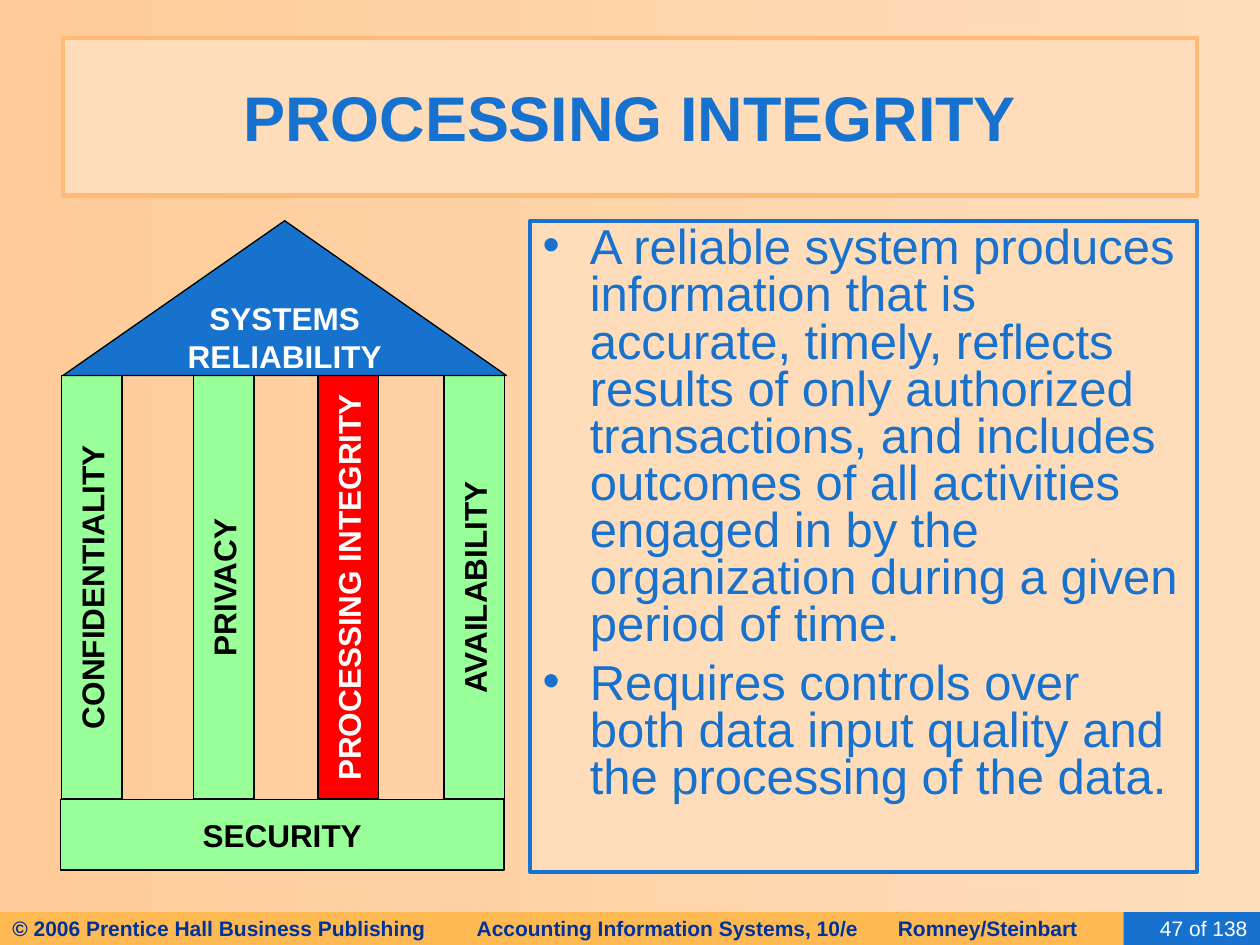
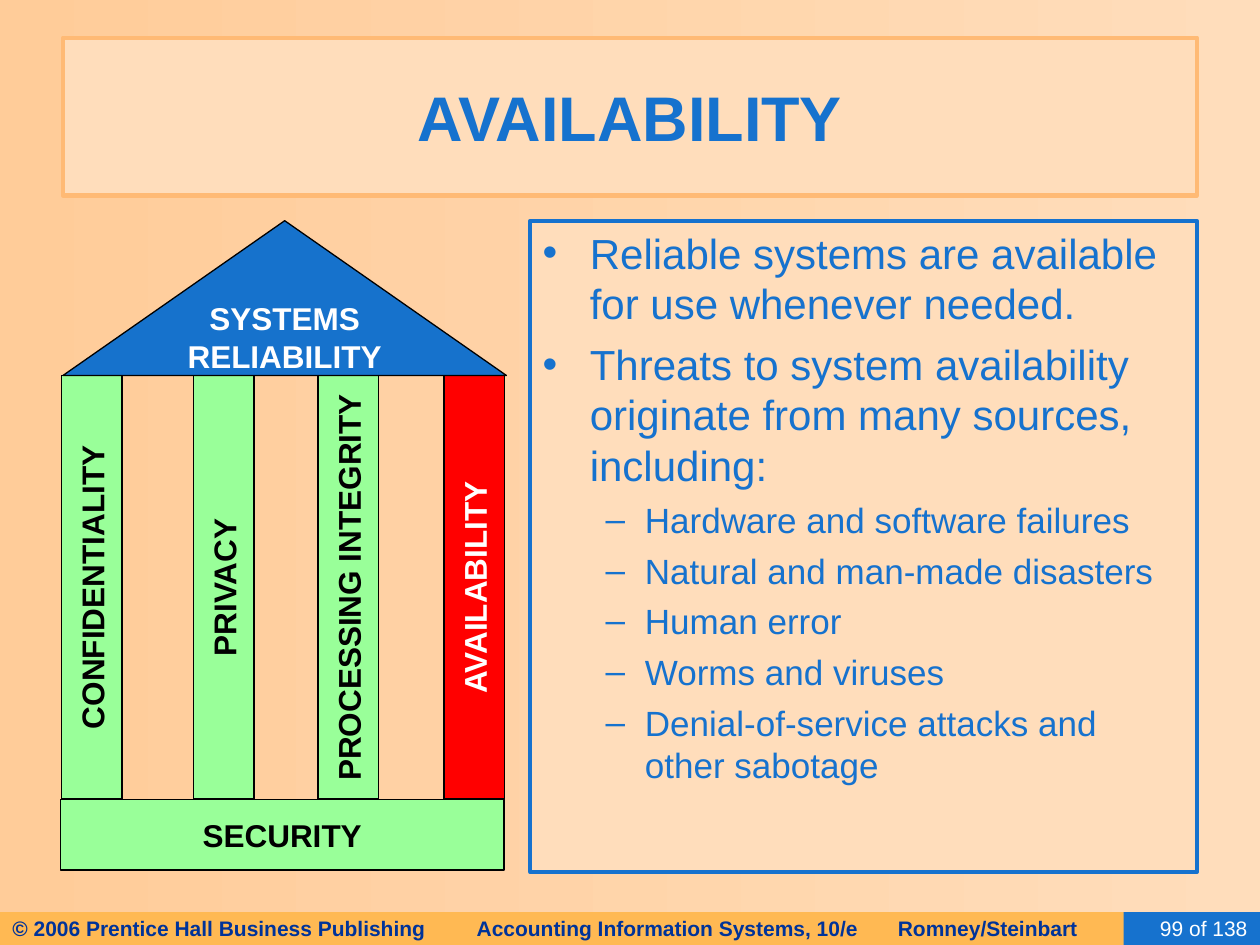
from lxml.etree import SubElement
from pptx import Presentation
from pptx.dml.color import RGBColor
from pptx.enum.shapes import MSO_SHAPE
from pptx.enum.text import MSO_ANCHOR, MSO_AUTO_SIZE, PP_ALIGN
from pptx.oxml.ns import qn
from pptx.util import Cm, Pt

COLORS = {
    "peach": "FFDDBB", "apricot": "FFCC99", "title_line": "FFBA75",
    "blue": "1672CE", "roof": "1672CC", "band": "FFB953", "navy": "003399",
    "green": "99FF99", "red": "FF0000", "black": "000000", "white": "FFFFFF",
}
FONT = "Arial"
BULLETS = [("•", 0.95, -0.95), ("–", 2.06, -0.79)]
FOOTER = "© 2006 Prentice Hall Business Publishing\tAccounting Information Systems, 10/e\tRomney/Steinbart"
FOOTER_TABS = [9.36, 17.85]
PAGE_COUNT = 138
PILLAR_CENTRES = {
    "CONFIDENTIALITY": 1.85, "PRIVACY": 4.51,
    "PROCESSING INTEGRITY": 7.02, "AVAILABILITY": 9.56,
}
PILLAR_LENGTH, PILLAR_WIDTH, PILLAR_MIDDLE = 8.53, 1.22, 11.84

PAGES = [
    {
        "title": "PROCESSING INTEGRITY", "number": 47,
        "sizes": [28], "space_before": [7], "line_spacing": 0.8,
        "items": [
            (0, "A reliable system produces information that is accurate, timely, reflects results of "
                "only authorized transactions, and includes outcomes of all activities engaged in by "
                "the organization during a given period of time."),
            (0, "Requires controls over both data input quality and the processing of the data."),
        ],
    },
    {
        "title": "AVAILABILITY", "number": 99,
        "sizes": [24, 20], "space_before": [6, 5], "line_spacing": 1.0,
        "items": [
            (0, "Reliable systems are available for use whenever needed."),
            (0, "Threats to system availability originate from many sources, including:"),
            (1, "Hardware and software failures"),
            (1, "Natural and man-made disasters"),
            (1, "Human error"),
            (1, "Worms and viruses"),
            (1, "Denial-of-service attacks and other sabotage"),
        ],
    },
]


def rgb(name):
    return RGBColor.from_string(COLORS[name])


def apply(target, values):
    for name, value in values.items():
        setattr(target, name, value)


class Deck:
    """Draws the styled elements of the deck on its current slide."""

    def __init__(self):
        self.presentation = Presentation()
        apply(self.presentation, {"slide_width": Cm(25.4), "slide_height": Cm(19.05)})
        self.slide = None

    def new_slide(self):
        self.slide = self.presentation.slides.add_slide(self.presentation.slide_layouts[1])
        fill = self.slide.background.fill
        fill.gradient()
        fill.gradient_angle = 180
        for stop, color in zip(fill.gradient_stops, ("peach", "apricot")):
            stop.color.rgb = rgb(color)

    def place(self, shape, box, fill, line=None, line_width=0.75):
        apply(shape, dict(zip(("left", "top", "width", "height"), map(Cm, box))))
        shape.fill.solid()
        shape.fill.fore_color.rgb = rgb(fill)
        if line:
            shape.line.color.rgb = rgb(line)
            shape.line.width = Pt(line_width)
        else:
            shape.line.fill.background()

    def frame(self, shape, text, anchor=MSO_ANCHOR.MIDDLE, wrap=True):
        frame = shape.text_frame
        frame.text = text
        apply(frame, {
            "auto_size": MSO_AUTO_SIZE.NONE, "word_wrap": wrap, "vertical_anchor": anchor,
            "margin_left": Cm(0.25), "margin_right": Cm(0.25),
            "margin_top": Cm(0.13), "margin_bottom": Cm(0.13),
        })
        return frame.paragraphs

    def format_text(self, paragraph, size, color, bold=False, **values):
        apply(paragraph, values)
        for run in paragraph.runs:
            apply(run.font, {"name": FONT, "size": Pt(size), "bold": bold})
            run.font.color.rgb = rgb(color)

    def block(self, box, text, fill, color, size=18, bold=True, line=None,
              kind=MSO_SHAPE.RECTANGLE, align=PP_ALIGN.CENTER, wrap=False, tabs=()):
        shape = self.slide.shapes.add_shape(kind, *map(Cm, box))
        shape.shadow.inherit = False
        self.place(shape, box, fill, line)
        for paragraph in self.frame(shape, text, wrap=wrap):
            if tabs:
                tab_list = SubElement(paragraph._p.get_or_add_pPr(), qn("a:tabLst"))
                for position in tabs:
                    SubElement(tab_list, qn("a:tab"), pos=str(Cm(position)), algn="l")
            self.format_text(paragraph, size, color, bold, alignment=align)
        return shape

    def title(self, text):
        shape = self.slide.shapes.title
        self.place(shape, (1.27, 0.76, 22.86, 3.18), "peach", "title_line", 2.5)
        for paragraph in self.frame(shape, text):
            self.format_text(paragraph, 36, "blue", True, alignment=PP_ALIGN.CENTER)

    def bullet(self, paragraph, level):
        character, margin, indent = BULLETS[level]
        properties = paragraph._p.get_or_add_pPr()
        properties.set("marL", str(Cm(margin)))
        properties.set("indent", str(Cm(indent)))
        bullet_color = SubElement(properties, qn("a:buClr"))
        SubElement(bullet_color, qn("a:srgbClr"), val=COLORS["blue"])
        SubElement(properties, qn("a:buFont"), typeface=FONT)
        SubElement(properties, qn("a:buChar"), char=character)

    def body(self, items, sizes, space_before, line_spacing):
        shape = self.slide.placeholders[1]
        self.place(shape, (10.69, 4.45, 13.44, 13.13), "peach", "blue", 2.25)
        text = "\n".join(item for _, item in items)
        paragraphs = self.frame(shape, text, MSO_ANCHOR.TOP)
        for index, (paragraph, (level, _)) in enumerate(zip(paragraphs, items)):
            self.bullet(paragraph, level)
            self.format_text(
                paragraph, sizes[level], "blue", level=level, line_spacing=line_spacing,
                space_before=Pt(space_before[level] if index else 0))

    def temple(self, highlight):
        self.block((1.22, 16.12, 8.94, 1.42), "SECURITY", "green", "black", line="black")
        for name, centre in PILLAR_CENTRES.items():
            box = (centre - PILLAR_LENGTH / 2, PILLAR_MIDDLE - PILLAR_WIDTH / 2,
                   PILLAR_LENGTH, PILLAR_WIDTH)
            fill, color = ("red", "white") if name == highlight else ("green", "black")
            self.block(box, name, fill, color, line="black").rotation = 270
        self.block((1.27, 4.45, 8.94, 3.12), "SYSTEMS\nRELIABILITY", "roof", "white",
                   line="black", kind=MSO_SHAPE.ISOSCELES_TRIANGLE)

    def footer(self, number):
        self.block((0, 18.39, 23.5, 0.66), FOOTER, "band", "navy", size=12,
                   align=PP_ALIGN.LEFT, wrap=True, tabs=FOOTER_TABS)
        self.block((22.65, 18.39, 2.75, 0.66), f"{number} of {PAGE_COUNT}", "blue", "white",
                   size=12, bold=False, align=PP_ALIGN.RIGHT, wrap=True)


def main():
    deck = Deck()
    for page in PAGES:
        deck.new_slide()
        deck.footer(page["number"])
        deck.title(page["title"])
        deck.body(page["items"], page["sizes"], page["space_before"], page["line_spacing"])
        deck.temple(page["title"])
    deck.presentation.save("out.pptx")


if __name__ == "__main__":
    main()
